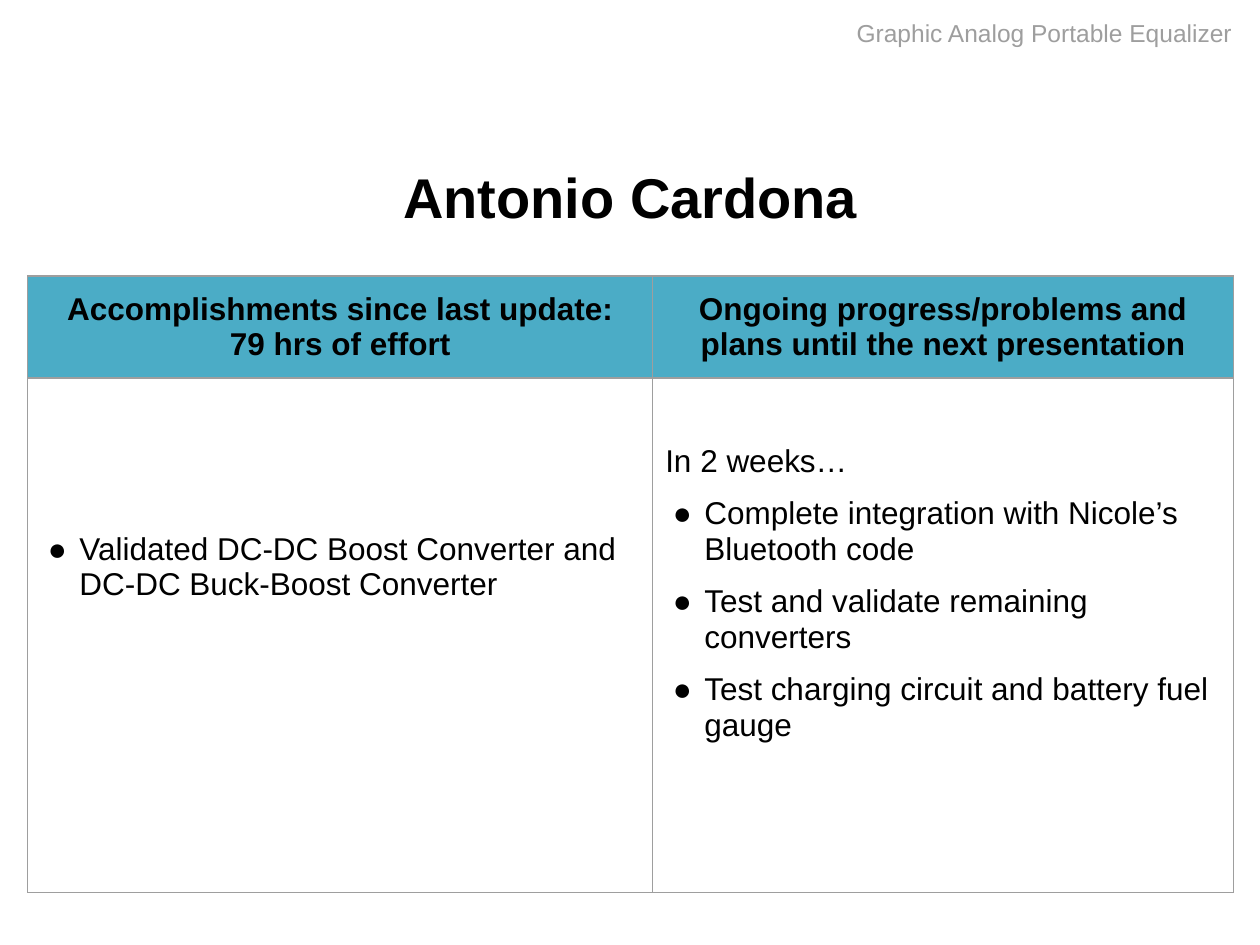
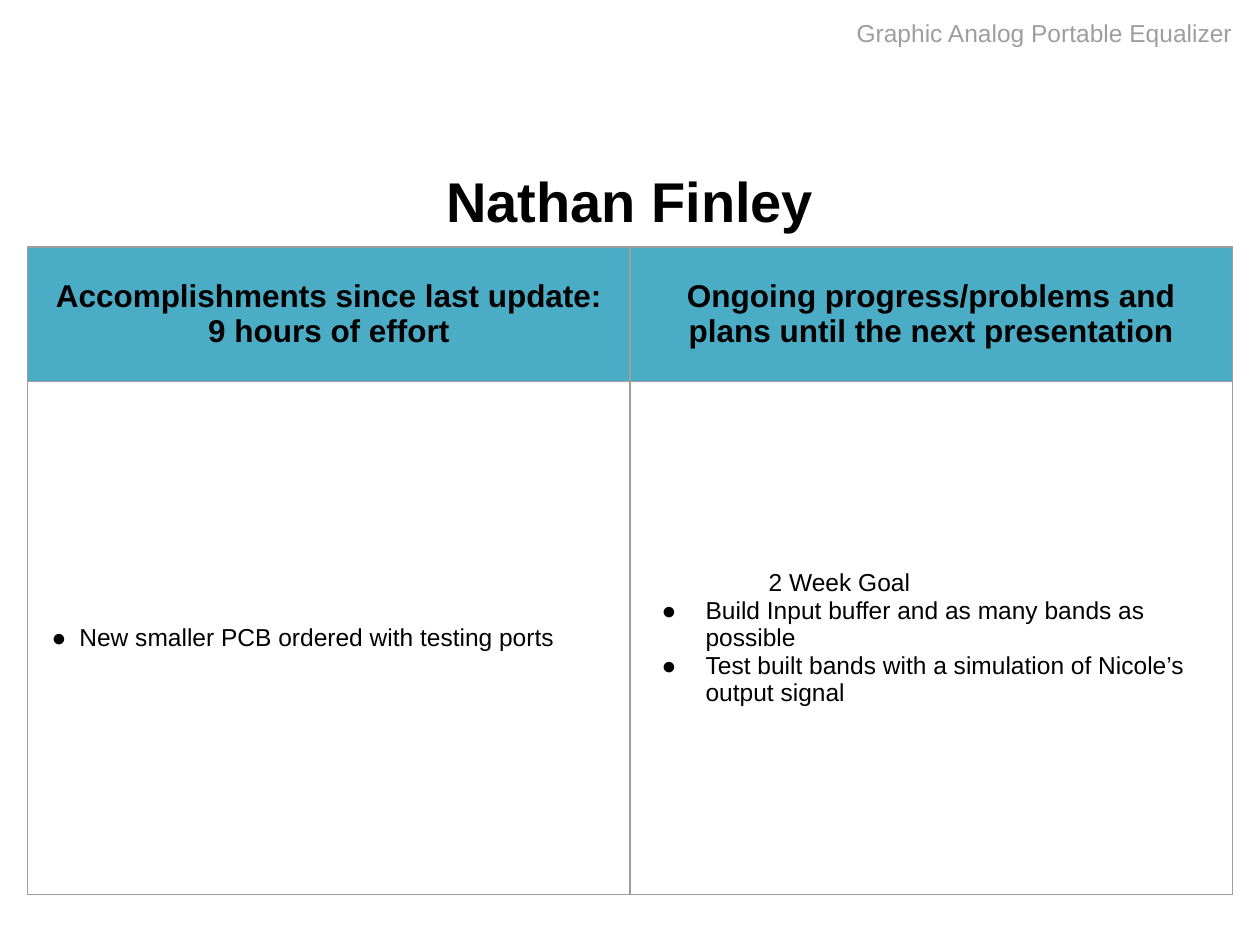
from dataclasses import dataclass
from typing import Any

import lxml.etree
import pptx
import pptx.dml.color
import pptx.enum.text
import pptx.oxml.ns
import pptx.util

Inches = pptx.util.Inches
Pt = pptx.util.Pt
qn = pptx.oxml.ns.qn
ALIGN = pptx.enum.text.PP_ALIGN
ANCHOR = pptx.enum.text.MSO_ANCHOR

COLOURS = {"text": "000000", "muted": "9E9E9E", "header": "4BACC6"}
FONT = "Arial"
PROJECT = "Graphic Analog Portable Equalizer"
PLANS_HEADING = "Ongoing progress/problems and plans until the next presentation"
TITLE_FORMAT = {"size": Pt(32), "bold": True}
HEADING_FORMAT = {"size": Pt(18), "bold": True}
TABLE_LEFT = 0.22
MARGIN = 0.1


@dataclass
class Item:
    text: str
    left: float = 0
    hanging: float = 0
    bullet: bool = False


@dataclass
class Column:
    heading: str
    width: float
    items: list[Item]
    top_margin: float = MARGIN


@dataclass
class Update:
    name: str
    title_box: tuple[float, float, float, float]
    table_top: float
    row_heights: tuple[float, float]
    columns: list[Column]
    body_size: int
    body_anchor: Any
    item_gap: int = 0


def bullets(left: float, hanging: float, *texts: str) -> list[Item]:
    return [Item(text, left, hanging, True) for text in texts]


UPDATES = [
    Update(
        "Antonio Cardona", (0.18, 1.12, 9.65, 0.88), 2.19, (0.81, 4.08),
        [
            Column(
                "Accomplishments since last update:\n79 hrs of effort", 4.96,
                bullets(0.31, 0.25,
                        "Validated DC-DC Boost Converter and DC-DC Buck-Boost Converter"),
                top_margin=1.22,
            ),
            Column(
                PLANS_HEADING, 4.61,
                [Item("In 2 weeks…")] + bullets(
                    0.31, 0.25,
                    "Complete integration with Nicole’s Bluetooth code",
                    "Test and validate remaining converters",
                    "Test charging circuit and battery fuel gauge",
                ),
                top_margin=0.52,
            ),
        ],
        body_size=18, body_anchor=ANCHOR.TOP, item_gap=10,
    ),
    Update(
        "Nathan Finley", (0.5, 1.15, 9, 0.88), 1.96, (1.07, 4.07),
        [
            Column(
                "Accomplishments since last update:\n9 hours of effort", 4.78,
                bullets(0.31, 0.22, "New smaller PCB ordered with testing ports"),
            ),
            Column(
                PLANS_HEADING, 4.78,
                [Item("2 Week Goal", left=1)] + bullets(
                    0.5, 0.35,
                    "Build Input buffer and as many bands as possible",
                    "Test built bands with a simulation of Nicole’s output signal",
                ),
            ),
        ],
        body_size=14, body_anchor=ANCHOR.MIDDLE,
    ),
]


def set_attributes(target: Any, values: dict[str, Any]) -> None:
    for name, value in values.items():
        setattr(target, name, value)


def rgb(colour: str) -> pptx.dml.color.RGBColor:
    return pptx.dml.color.RGBColor.from_string(COLOURS[colour])


def add_run(paragraph: Any, text: str, font_format: dict[str, Any], colour: str = "text") -> None:
    run = paragraph.add_run()
    run.text = text
    set_attributes(run.font, {"name": FONT, **font_format})
    run.font.color.rgb = rgb(colour)


def add_child(parent: Any, tag: str, **attributes: str) -> Any:
    return lxml.etree.SubElement(parent, qn(tag), **attributes)


def next_paragraph(text_frame: Any, index: int) -> Any:
    return text_frame.add_paragraph() if index else text_frame.paragraphs[0]


def write_items(text_frame: Any, items: list[Item], size: int, gap: int) -> None:
    for index, item in enumerate(items):
        paragraph = next_paragraph(text_frame, index)
        properties = paragraph._p.get_or_add_pPr()
        properties.set("marL", str(Inches(item.left)))
        properties.set("indent", str(-Inches(item.hanging)))
        if item.bullet:
            colour = add_child(properties, "a:buClr")
            add_child(colour, "a:srgbClr", val=COLOURS["text"])
            add_child(properties, "a:buFont", typeface=FONT)
            add_child(properties, "a:buChar", char="●")
        if index:
            paragraph.space_before = Pt(gap)
        add_run(paragraph, item.text, {"size": Pt(size), "bold": False})


def format_cell(cell: Any, anchor: Any, top_margin: float = MARGIN) -> None:
    """Set the margins, anchor and grey borders; the fill has to follow."""
    set_attributes(cell, {
        "margin_left": Inches(MARGIN), "margin_right": Inches(MARGIN),
        "margin_top": Inches(top_margin), "margin_bottom": Inches(MARGIN),
        "vertical_anchor": anchor,
    })
    properties = cell._tc.get_or_add_tcPr()
    for side in "LRTB":
        line = add_child(properties, f"a:ln{side}", w=str(Pt(0.75)))
        fill = add_child(line, "a:solidFill")
        add_child(fill, "a:srgbClr", val=COLOURS["muted"])


def add_update_table(slide: Any, update: Update) -> None:
    width = sum(column.width for column in update.columns)
    table = slide.shapes.add_table(
        2, len(update.columns), Inches(TABLE_LEFT), Inches(update.table_top),
        Inches(width), Inches(sum(update.row_heights)),
    ).table
    set_attributes(table, {"first_row": False, "horz_banding": False})
    for row, height in zip(table.rows, update.row_heights):
        row.height = Inches(height)
    for index, column in enumerate(update.columns):
        table.columns[index].width = Inches(column.width)

        heading = table.cell(0, index)
        format_cell(heading, ANCHOR.MIDDLE)
        heading.fill.solid()
        heading.fill.fore_color.rgb = rgb("header")
        for line_index, line in enumerate(column.heading.split("\n")):
            paragraph = next_paragraph(heading.text_frame, line_index)
            paragraph.alignment = ALIGN.CENTER
            add_run(paragraph, line, HEADING_FORMAT)

        body = table.cell(1, index)
        format_cell(body, update.body_anchor, column.top_margin)
        body.fill.background()
        write_items(body.text_frame, column.items, update.body_size, update.item_gap)


def add_title(slide: Any, update: Update) -> None:
    title = slide.shapes.title
    box = zip(("left", "top", "width", "height"), map(Inches, update.title_box))
    set_attributes(title, dict(box))
    set_attributes(title.text_frame, {
        "vertical_anchor": ANCHOR.MIDDLE, "word_wrap": True,
        "auto_size": pptx.enum.text.MSO_AUTO_SIZE.NONE,
    })
    paragraph = title.text_frame.paragraphs[0]
    paragraph.alignment = ALIGN.CENTER
    add_run(paragraph, update.name, TITLE_FORMAT)


def add_project_name(slide: Any) -> None:
    text_frame = slide.shapes.add_textbox(
        Inches(6.7), Inches(0.04), Inches(3.21), Inches(0.44)
    ).text_frame
    set_attributes(text_frame, {
        "word_wrap": True, "margin_top": Inches(MARGIN), "margin_bottom": Inches(MARGIN),
        "auto_size": pptx.enum.text.MSO_AUTO_SIZE.SHAPE_TO_FIT_TEXT,
    })
    add_run(text_frame.paragraphs[0], PROJECT, {"size": Pt(14)}, "muted")


def main() -> None:
    presentation = pptx.Presentation()
    set_attributes(presentation, {"slide_width": Inches(10), "slide_height": Inches(7.5)})
    title_only = presentation.slide_layouts.get_by_name("Title Only")
    for update in UPDATES:
        slide = presentation.slides.add_slide(title_only)
        add_title(slide, update)
        add_update_table(slide, update)
        add_project_name(slide)
    presentation.save("out.pptx")


if __name__ == "__main__":
    main()
